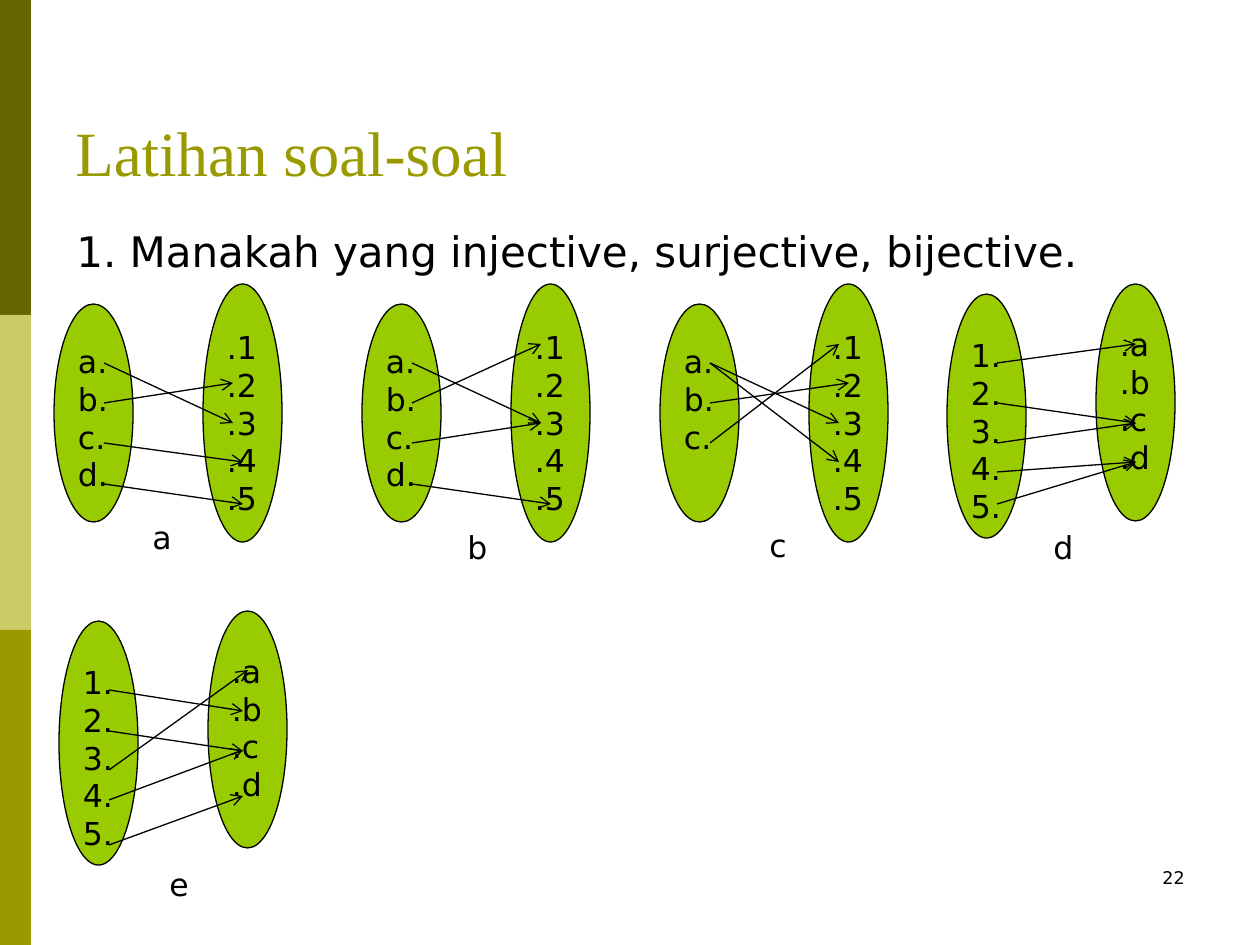
"""Build an exercise slide with five arrow diagrams of functions."""
from typing import Any, NamedTuple

import pptx
import pptx.util
import pptx.dml.color
import pptx.enum.shapes
import pptx.enum.text
import pptx.oxml
import pptx.oxml.ns

PX = 914400 / 126
COLORS = {"dark": "666600", "pale": "CCCC66", "olive": "999900",
          "set": "99CC00", "ink": "000000"}
SANS = "DejaVu Sans"
SERIF = "Times New Roman"
SET_WIDTH = 79
SET_GAP = 149
ARROW_START = 50
SHORT, MIDDLE, LONG = 179, 184, 189


class Arrow(NamedTuple):
    y1: int
    y2: int
    reach: int


class Oval(NamedTuple):
    top: int
    height: int
    items: list[str]


class Diagram(NamedTuple):
    name: str
    left: int
    domain: Oval
    codomain: Oval
    label: tuple[int, int]
    arrows: list[Arrow]


LETTERS = ["a.", "b.", "c.", "d."]
NUMBERS = ["1.", "2.", "3.", "4.", "5."]
DOT_LETTERS = [".a", ".b", ".c", ".d"]
DOT_NUMBERS = [".1", ".2", ".3", ".4", ".5"]
FOUR = Oval(304, 218, LETTERS)
FIVE = Oval(284, 258, DOT_NUMBERS)

DIAGRAMS = [
    Diagram("a", 54, FOUR, FIVE, (140, 512), [
        Arrow(363, 423, SHORT), Arrow(403, 383, SHORT),
        Arrow(443, 462, LONG), Arrow(484, 504, LONG)]),
    Diagram("b", 362, FOUR, FIVE, (455, 522), [
        Arrow(363, 423, SHORT), Arrow(403, 344, SHORT),
        Arrow(443, 423, SHORT), Arrow(484, 504, LONG)]),
    Diagram("c", 660, FOUR._replace(items=LETTERS[:3]), FIVE, (757, 520), [
        Arrow(363, 423, SHORT), Arrow(403, 383, LONG),
        Arrow(443, 344, SHORT), Arrow(363, 462, SHORT)]),
    Diagram("d", 947, Oval(294, 244, NUMBERS), Oval(284, 237, DOT_LETTERS),
            (1041, 522), [
        Arrow(363, 344, LONG), Arrow(403, 423, LONG), Arrow(443, 423, LONG),
        Arrow(472, 462, LONG), Arrow(504, 462, LONG)]),
    Diagram("e", 59, Oval(621, 244, NUMBERS), Oval(611, 237, DOT_LETTERS),
            (157, 859), [
        Arrow(690, 711, MIDDLE), Arrow(731, 751, MIDDLE), Arrow(770, 670, LONG),
        Arrow(800, 750, MIDDLE), Arrow(845, 796, MIDDLE)]),
]


def emu(*px: int) -> list[int]:
    """Turn px lengths into EMU."""
    return [round(v * PX) for v in px]


def rgb(name: str) -> pptx.dml.color.RGBColor:
    """Look up a named colour."""
    return pptx.dml.color.RGBColor.from_string(COLORS[name])


def write(sp: Any, lines: list[str], size: int, font: str = SANS,
          color: str = "ink", align: str = "LEFT", anchor: str = "TOP",
          wrap: bool = False) -> None:
    """Fill a shape with one paragraph per line."""
    tf = sp.text_frame
    tf.word_wrap = wrap
    tf.vertical_anchor = pptx.enum.text.MSO_ANCHOR[anchor]
    for i, line in enumerate(lines):
        p = tf.add_paragraph() if i else tf.paragraphs[0]
        p.alignment = pptx.enum.text.PP_ALIGN[align]
        r = p.add_run()
        r.text = line
        r.font.size = pptx.util.Pt(size)
        r.font.name = font
        r.font.color.rgb = rgb(color)


def add_filled(shapes: Any, kind: str, box: tuple[int, int, int, int],
               color: str) -> Any:
    """Add a flat filled preset shape without an outline."""
    sp = shapes.add_shape(pptx.enum.shapes.MSO_SHAPE[kind], *emu(*box))
    sp.shadow.inherit = False
    sp.fill.solid()
    sp.fill.fore_color.rgb = rgb(color)
    sp.line.fill.background()
    return sp


def set_line(sp: Any) -> None:
    """Give a shape or connector a thin ink line."""
    sp.line.color.rgb = rgb("ink")
    sp.line.width = pptx.util.Pt(0.75)


def add_oval(shapes: Any, left: int, oval: Oval) -> None:
    """Add one set with its elements."""
    sp = add_filled(shapes, "OVAL", (left, oval.top, SET_WIDTH, oval.height), "set")
    set_line(sp)
    write(sp, oval.items, 18)


def add_arrow(shapes: Any, left: int, arrow: Arrow) -> None:
    """Add one mapping arrow."""
    sp = shapes.add_connector(
        pptx.enum.shapes.MSO_CONNECTOR.STRAIGHT,
        *emu(left + ARROW_START, arrow.y1, left + arrow.reach, arrow.y2))
    set_line(sp)
    ln = sp.line._get_or_add_ln()
    pptx.oxml.ns.qn("a:tailEnd")
    ln.append(pptx.oxml.parse_xml(
        f'<a:tailEnd {pptx.oxml.ns.nsdecls("a")} type="arrow"/>'))
    sp._element.spPr.append(pptx.oxml.parse_xml(
        f'<a:effectLst {pptx.oxml.ns.nsdecls("a")}/>'))


def add_diagram(shapes: Any, d: Diagram) -> None:
    """Add two sets, the arrows between them and the label below."""
    grp = shapes.add_group_shape().shapes
    add_oval(grp, d.left, d.domain)
    add_oval(grp, d.left + SET_GAP, d.codomain)
    for arrow in d.arrows:
        add_arrow(grp, d.left, arrow)
    write(shapes.add_textbox(*emu(*d.label, 43, 50)), [d.name], 18)


def main() -> None:
    """Build and save the slide."""
    prs = pptx.Presentation()
    prs.slide_width, prs.slide_height = emu(1260, 945)
    shapes = prs.slides.add_slide(prs.slide_layouts[6]).shapes
    for i, color in enumerate(["dark", "pale", "olive"]):
        add_filled(shapes, "RECTANGLE", (0, i * 315, 31, 315), color)
    write(shapes.add_textbox(*emu(63, 38, 1134, 157)), ["Latihan soal-soal"],
          36, SERIF, "olive", anchor="BOTTOM", wrap=True)
    write(shapes.add_textbox(*emu(64, 219, 1134, 624)),
          ["1. Manakah yang injective, surjective, bijective."], 24, wrap=True)
    write(shapes.add_textbox(*emu(903, 861, 294, 63)), ["22"], 10,
          align="RIGHT", wrap=True)
    for d in DIAGRAMS:
        add_diagram(shapes, d)
    prs.save("out.pptx")


if __name__ == "__main__":
    main()
